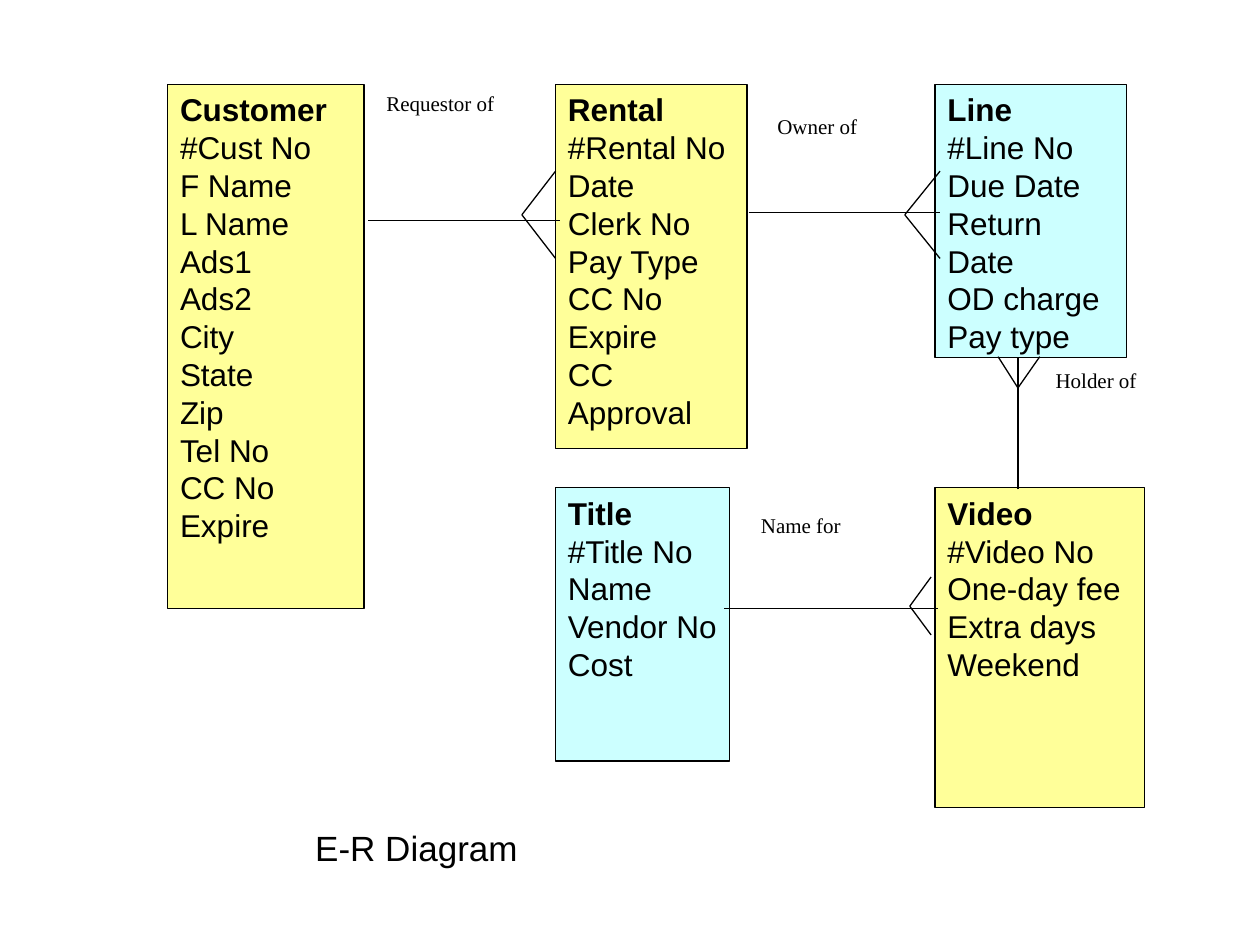
from dataclasses import dataclass

from lxml import etree
from pptx import Presentation
from pptx.dml.color import RGBColor
from pptx.enum.shapes import MSO_CONNECTOR, MSO_SHAPE
from pptx.enum.text import MSO_ANCHOR, MSO_AUTO_SIZE, PP_ALIGN
from pptx.oxml.ns import qn
from pptx.util import Cm, Pt

RECTANGLE = MSO_SHAPE.RECTANGLE
STRAIGHT = MSO_CONNECTOR.STRAIGHT
TOP = MSO_ANCHOR.TOP
LEFT, JUSTIFY = PP_ALIGN.LEFT, PP_ALIGN.JUSTIFY
GROW = MSO_AUTO_SIZE.SHAPE_TO_FIT_TEXT

COLORS = {"ink": "000000", "paper": "FFFFFF", "yellow": "FFFF99", "cyan": "CCFFFF"}
LINE_WIDTH = Pt(0.75)

# Lengths below are centimetres
Point = tuple[float, float]
Box = tuple[float, float, float, float]
COLUMNS = (3.38, 11.2, 18.85)
ROWS = (1.7, 9.83)


@dataclass
class Entity:
    name: str
    attributes: list[str]
    column: int
    row: int
    width: float
    height: float
    fill: str


@dataclass
class Relationship:
    label: str
    label_box: Box
    start: Point
    end: Point
    foot: tuple[Point, Point, Point]  # toe, tip, toe
    align: PP_ALIGN = LEFT


ENTITIES = [
    Entity("Customer",
           ["#Cust No", "F Name", "L Name", "Ads1", "Ads2", "City", "State",
            "Zip", "Tel No", "CC No", "Expire"],
           0, 0, 3.96, 10.57, "yellow"),
    Entity("Rental",
           ["#Rental No", "Date", "Clerk No", "Pay Type", "CC No", "Expire",
            "CC Approval"],
           1, 0, 3.86, 7.34, "yellow"),
    Entity("Line",
           ["#Line No", "Due Date", "Return Date", "OD charge", "Pay type"],
           2, 0, 3.86, 5.51, "cyan"),
    Entity("Video", ["#Video No", "One-day fee", "Extra days", "Weekend"],
           2, 1, 4.22, 6.45, "yellow"),
    Entity("Title", ["#Title No", "Name", "Vendor No", "Cost"],
           1, 1, 3.51, 5.51, "cyan"),
]

RELATIONSHIPS = [
    Relationship("Requestor of", (7.54, 1.7, 3.33, 2.26), (7.42, 4.45), (11.28, 4.45),
                 ((11.2, 3.45), (10.52, 4.33), (11.2, 5.21))),
    Relationship("Owner of", (15.42, 2.16, 3.15, 1.37), (15.09, 4.29), (18.95, 4.29),
                 ((18.95, 3.45), (18.24, 4.33), (18.95, 5.21)), JUSTIFY),
    Relationship("Name for", (15.09, 10.21, 3.51, 1.37), (14.6, 12.27), (18.9, 12.27),
                 ((18.77, 11.63), (18.34, 12.22), (18.77, 12.8))),
    Relationship("Holder of", (21.03, 7.29, 3.51, 1.37), (20.52, 9.86), (20.52, 7.19),
                 ((20.12, 7.19), (20.52, 7.82), (20.96, 7.19))),
]


def color(key: str) -> RGBColor:
    return RGBColor.from_string(COLORS[key])


def add_run(paragraph, text: str, size: float, font: str, bold: bool = False) -> None:
    run = paragraph.add_run()
    run.text = text
    run.font.size = Pt(size)
    run.font.name = font
    run.font.bold = bold
    run.font.color.rgb = color("ink")


def add_box(slide, box: Box, fill: str):
    shape = slide.shapes.add_shape(RECTANGLE, *map(Cm, box))
    shape.shadow.inherit = False
    shape.fill.solid()
    shape.fill.fore_color.rgb = color(fill)
    shape.line.fill.background()
    shape.text_frame.word_wrap = True
    shape.text_frame.vertical_anchor = TOP
    return shape


def add_entity(slide, entity: Entity) -> None:
    box = (COLUMNS[entity.column], ROWS[entity.row], entity.width, entity.height)
    shape = add_box(slide, box, entity.fill)
    shape.line.color.rgb = color("ink")
    shape.line.width = LINE_WIDTH
    frame = shape.text_frame
    heading = frame.paragraphs[0]
    heading.alignment = LEFT
    add_run(heading, entity.name, 18, "Arial", bold=True)
    for attribute in entity.attributes:
        paragraph = frame.add_paragraph()
        paragraph.alignment = LEFT
        add_run(paragraph, attribute, 18, "Arial")


def add_line(slide, start: Point, end: Point) -> None:
    line = slide.shapes.add_connector(STRAIGHT, *map(Cm, start + end))
    line.line.color.rgb = color("ink")
    line.line.width = LINE_WIDTH
    etree.SubElement(line._element.spPr, qn("a:effectLst"))


def add_relationship(slide, relationship: Relationship) -> None:
    label = add_box(slide, relationship.label_box, "paper")
    paragraph = label.text_frame.paragraphs[0]
    paragraph.alignment = relationship.align
    add_run(paragraph, relationship.label, 12, "Times New Roman")

    add_line(slide, relationship.start, relationship.end)
    first_toe, tip, second_toe = relationship.foot
    add_line(slide, tip, first_toe)
    add_line(slide, tip, second_toe)


def set_title(slide, text: str, box: Box) -> None:
    title = slide.shapes.title
    title.left, title.top, title.width, title.height = map(Cm, box)
    frame = title.text_frame
    frame.word_wrap = False
    frame.auto_size = GROW
    frame.vertical_anchor = TOP
    frame.paragraphs[0].alignment = LEFT
    add_run(frame.paragraphs[0], text, 20, "Arial")


def main() -> None:
    prs = Presentation()
    prs.slide_width, prs.slide_height = Cm(25.4), Cm(19.05)
    slide = prs.slides.add_slide(prs.slide_layouts[5])  # Title Only

    # Entities, then the relationships between them
    for entity in ENTITIES:
        add_entity(slide, entity)
    for relationship in RELATIONSHIPS:
        add_relationship(slide, relationship)

    # Caption below the diagram
    set_title(slide, "E-R Diagram", (6.1, 16.54, 4.6, 1.12))
    prs.save("out.pptx")


if __name__ == "__main__":
    main()
